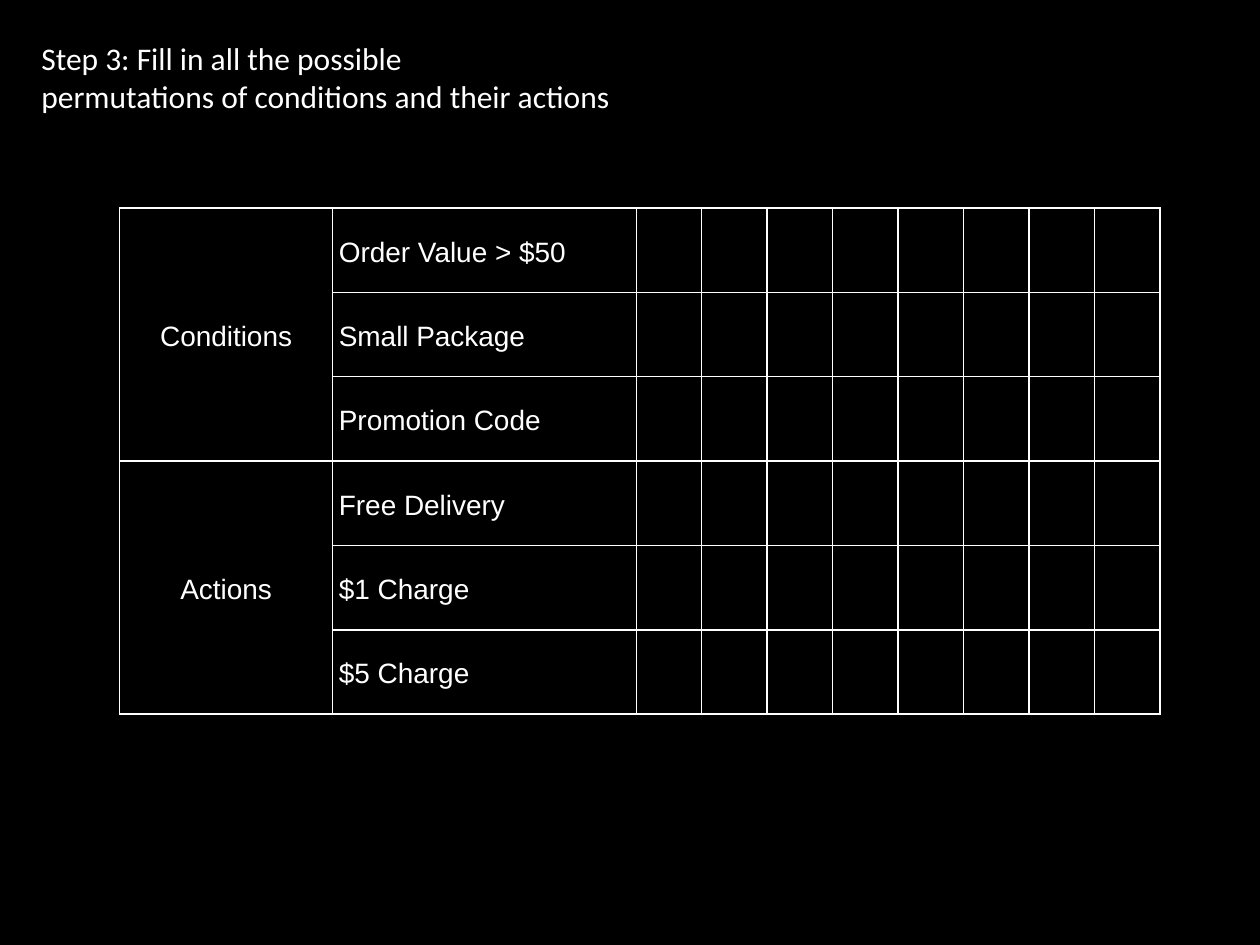
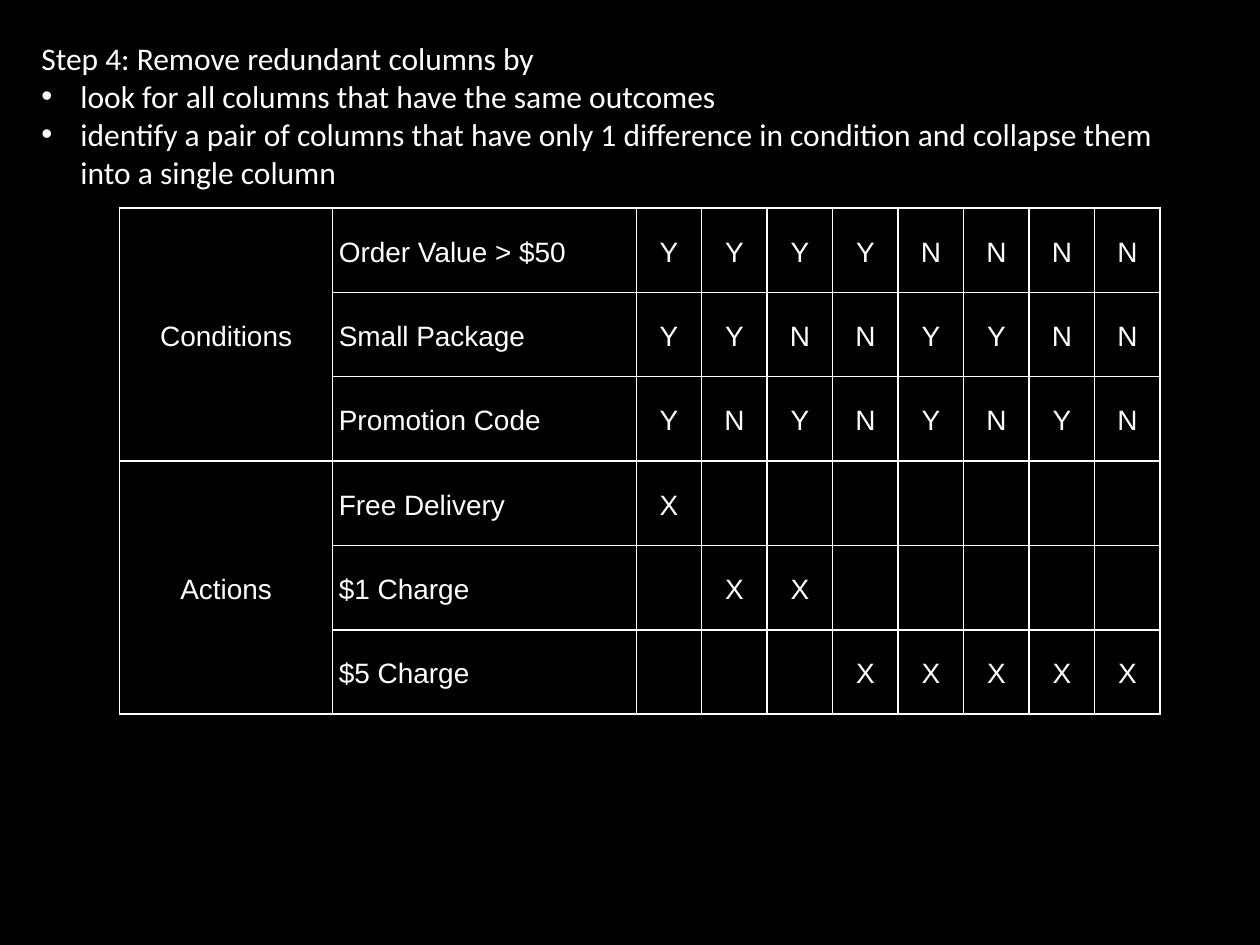
import itertools

import lxml.etree
import pptx
import pptx.dml.color
import pptx.enum.text
import pptx.oxml.ns
import pptx.util

COLOURS = {"background": "000000", "ink": "FFFFFF"}
CONDITIONS = ["Order Value > $50", "Small Package", "Promotion Code"]
ACTIONS = ["Free Delivery", "$1 Charge", "$5 Charge"]
RULES = list(itertools.product("YN", repeat=len(CONDITIONS)))
SHADED_RULES = (4, 5)
ALIGN = pptx.enum.text.PP_ALIGN
qn = pptx.oxml.ns.qn


def delivery_action(rule):
    large_order = rule[0] == "Y"
    if large_order and rule.count("Y") == 3:
        return "Free Delivery"
    if large_order and rule.count("Y") == 2:
        return "$1 Charge"
    return "$5 Charge"


class DecisionDeck:
    heading_font, heading_size = "Calibri", 18
    table_font, table_size = "Arial", 16
    left, top = 0.023, 0.035
    table_left, table_top = 0.095, 0.22
    label_widths, rule_width, row_height = (0.169, 0.241), 0.052, 0.0893
    cell_inset = pptx.util.Inches(0.05)
    bullet_indent = pptx.util.Inches(0.31)

    def __init__(self):
        self.deck = pptx.Presentation()
        self.deck.slide_width = pptx.util.Inches(10)
        self.deck.slide_height = pptx.util.Inches(7.5)
        self.slide = None

    def x(self, share):
        return round(self.deck.slide_width * share)

    def y(self, share):
        return round(self.deck.slide_height * share)

    def colour(self, name):
        return pptx.dml.color.RGBColor.from_string(COLOURS[name])

    def new_slide(self):
        self.slide = self.deck.slides.add_slide(self.deck.slide_layouts[6])
        fill = self.slide.background.fill
        fill.solid()
        fill.fore_color.rgb = self.colour("background")

    def add_text(self, paragraph, text, font, size):
        run = paragraph.add_run()
        run.text = text
        run.font.name = font
        run.font.size = pptx.util.Pt(size)
        run.font.color.rgb = self.colour("ink")

    def heading(self, lines, width, height, bullets=(), wrap=True):
        box = self.slide.shapes.add_textbox(
            self.x(self.left), self.y(self.top), self.x(width), self.y(height))
        frame = box.text_frame
        frame.word_wrap = wrap
        frame.auto_size = pptx.enum.text.MSO_AUTO_SIZE.SHAPE_TO_FIT_TEXT
        for index, line in enumerate([*lines, *bullets]):
            paragraph = frame.add_paragraph() if index else frame.paragraphs[0]
            self.add_text(paragraph, line, self.heading_font, self.heading_size)
            if index >= len(lines):
                self.bullet(paragraph)

    def bullet(self, paragraph):
        properties = paragraph._p.get_or_add_pPr()
        properties.set("marL", str(self.bullet_indent))
        properties.set("indent", str(-self.bullet_indent))
        lxml.etree.SubElement(properties, qn("a:buFont"), typeface="Arial")
        lxml.etree.SubElement(properties, qn("a:buChar"), char="•")

    def border(self, cell):
        properties = cell._tc.get_or_add_tcPr()
        for side in ("L", "R", "T", "B"):
            line = lxml.etree.SubElement(
                properties, qn("a:ln" + side), w=str(pptx.util.Pt(1)))
            fill = lxml.etree.SubElement(line, qn("a:solidFill"))
            lxml.etree.SubElement(fill, qn("a:srgbClr"), val=COLOURS["ink"])

    def style_cell(self, cell, shaded):
        self.border(cell)
        if shaded:
            cell.fill.solid()
            cell.fill.fore_color.rgb = self.colour("background")
        else:
            cell.fill.background()
        cell.vertical_anchor = pptx.enum.text.MSO_ANCHOR.MIDDLE
        cell.margin_left = cell.margin_right = self.cell_inset
        cell.margin_top = cell.margin_bottom = self.cell_inset

    def cell_text(self, cell, text, align=ALIGN.CENTER):
        paragraph = cell.text_frame.paragraphs[0]
        paragraph.alignment = align
        paragraph.line_spacing = 1.15
        self.add_text(paragraph, text, self.table_font, self.table_size)

    def decision_table(self, filled):
        labels = CONDITIONS + ACTIONS
        widths = [*self.label_widths, *[self.rule_width] * len(RULES)]
        table = self.slide.shapes.add_table(
            len(labels), len(widths), self.x(self.table_left), self.y(self.table_top),
            self.x(sum(widths)), self.y(self.row_height * len(labels))).table
        table.first_row = table.horz_banding = False
        for column, width in zip(table.columns, widths):
            column.width = self.x(width)
        first_rule = len(self.label_widths)
        for row, label in enumerate(labels):
            table.rows[row].height = self.y(self.row_height)
            for column in range(len(widths)):
                self.style_cell(table.cell(row, column), column - first_rule in SHADED_RULES)
            self.cell_text(table.cell(row, 1), label, ALIGN.LEFT)
        first_action = len(CONDITIONS)
        for group, start, end in (("Conditions", 0, first_action - 1),
                                  ("Actions", first_action, len(labels) - 1)):
            table.cell(start, 0).merge(table.cell(end, 0))
            self.cell_text(table.cell(start, 0), group)
        if filled:
            for column, rule in enumerate(RULES, first_rule):
                for row, answer in enumerate(rule):
                    self.cell_text(table.cell(row, column), answer)
                self.cell_text(table.cell(labels.index(delivery_action(rule)), column), "X")


decisions = DecisionDeck()

decisions.new_slide()
decisions.decision_table(filled=False)
decisions.heading(
    ["Step 3: Fill in all the possible", "permutations of conditions and their actions"],
    width=0.489, height=0.095, wrap=False)

decisions.new_slide()
decisions.decision_table(filled=True)
decisions.heading(
    ["Step 4: Remove redundant columns by"], width=0.932, height=0.175,
    bullets=["look for all columns that have the same outcomes",
             "identify a pair of columns that have only 1 difference in condition "
             "and collapse them into a single column"])

decisions.deck.save("out.pptx")
